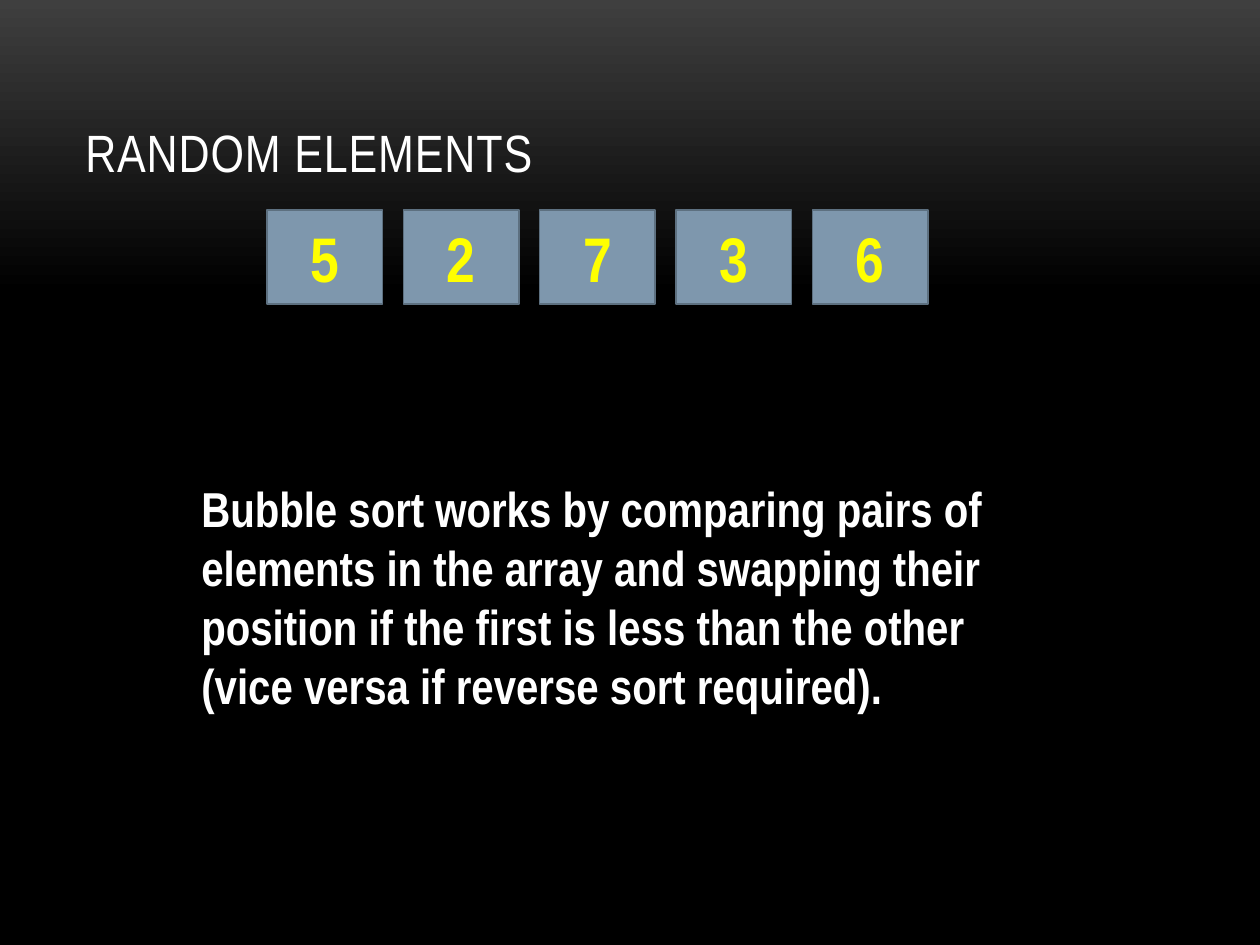
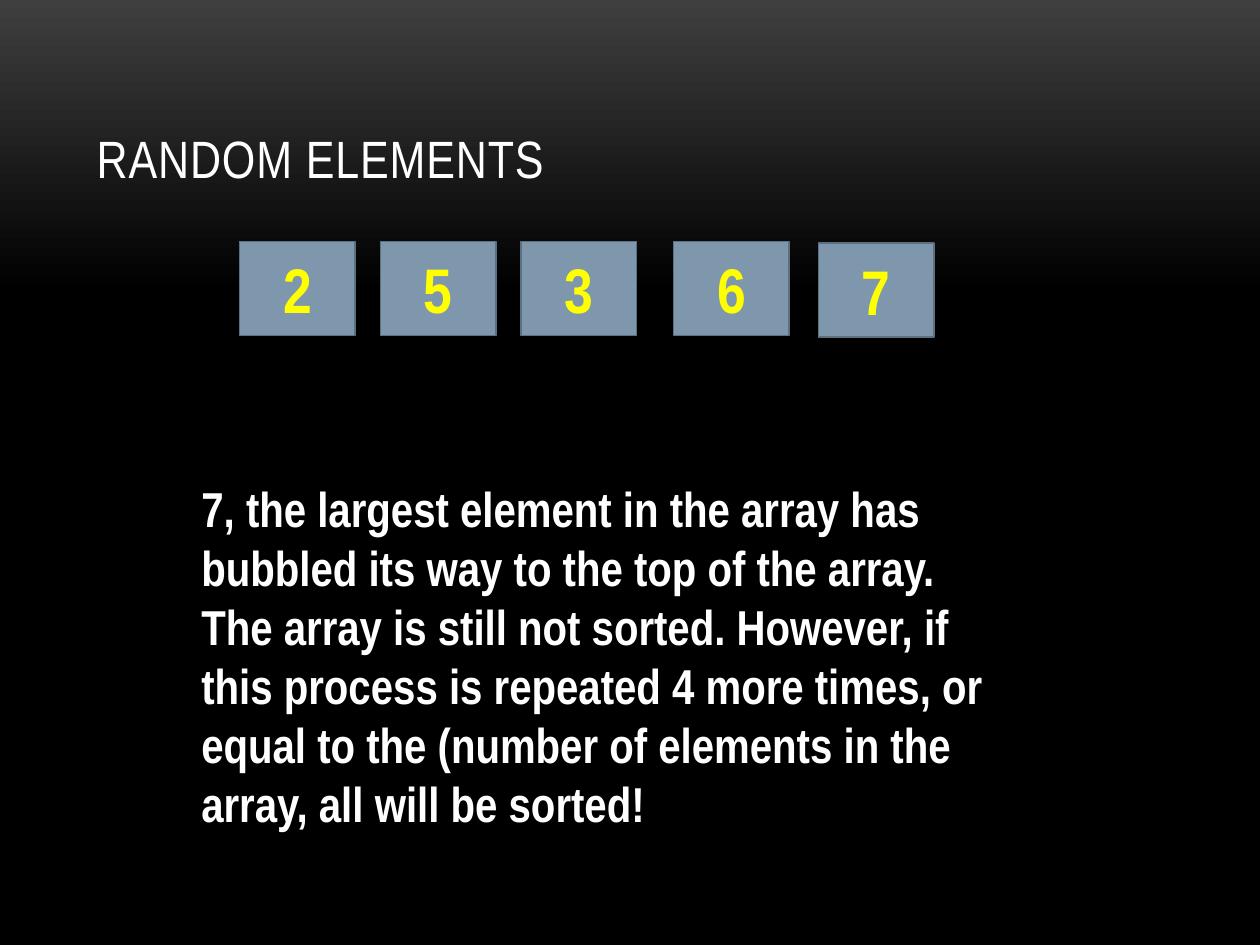
"""Build two slides that show an array before and after one bubble sort pass."""
from copy import deepcopy

from pptx import Presentation
from pptx.dml.color import RGBColor
from pptx.enum.shapes import MSO_SHAPE
from pptx.enum.text import MSO_ANCHOR, MSO_AUTO_SIZE, PP_ALIGN
from pptx.oxml.ns import qn
from pptx.util import Cm, Pt

CHARCOAL = RGBColor(0x3F, 0x3F, 0x3F)
BLACK = RGBColor(0x00, 0x00, 0x00)
WHITE = RGBColor(0xFF, 0xFF, 0xFF)
YELLOW = RGBColor(0xFF, 0xFF, 0x00)
STEEL = RGBColor(0x7E, 0x97, 0xAD)
SLATE = RGBColor(0x5D, 0x70, 0x80)

TITLE_FONT = {"name": "Arial Narrow", "size": Pt(30), "bold": False}
BODY_FONT = {"name": "Arial Narrow", "size": Pt(28), "bold": True}
NUMBER_FONT = {"name": "Arial Narrow", "size": Pt(36), "bold": True}
TITLE_FRAME = {"word_wrap": True, "vertical_anchor": MSO_ANCHOR.BOTTOM}
BODY_FRAME = {"word_wrap": True, "vertical_anchor": MSO_ANCHOR.TOP,
              "auto_size": MSO_AUTO_SIZE.SHAPE_TO_FIT_TEXT}
NUMBER_FRAME = {"word_wrap": True, "vertical_anchor": MSO_ANCHOR.MIDDLE}

SLIDES = [
    {
        "title_at": (1.47, 0.64),
        "body": "Bubble sort works by comparing pairs of elements in the array "
                "and swapping their position if the first is less than the other "
                "(vice versa if reverse sort required).",
        "body_height": 6.25,
        "boxes": [(number, 5.38 + 2.75 * index, 4.23)
                  for index, number in enumerate("52736")],
    },
    {
        "title_at": (1.7, 0.76),
        "body": "7, the largest element in the array has bubbled its way to the "
                "top of the array. The array is still not sorted. However, if "
                "this process is repeated 4 more times, or equal to the (number "
                "of elements in the array, all will be sorted!",
        "body_height": 7.44,
        "boxes": [("2", 4.83, 4.87), ("5", 7.67, 4.87), ("3", 10.5, 4.87),
                  ("6", 13.58, 4.87), ("7", 16.5, 4.9)],
    },
]


def write_text(shape, text, frame_format, font_format, color):
    frame = shape.text_frame
    for name, value in frame_format.items():
        setattr(frame, name, value)
    paragraph = frame.paragraphs[0]
    run = paragraph.add_run()
    run.text = text
    for name, value in font_format.items():
        setattr(run.font, name, value)
    run.font.color.rgb = color
    return paragraph


presentation = Presentation()
presentation.slide_width = Cm(25.4)
presentation.slide_height = Cm(19.05)

for content in SLIDES:
    slide = presentation.slides.add_slide(presentation.slide_layouts[6])

    background = slide.background.fill
    background.gradient()
    background.gradient_angle = 270
    for stop, color, position in zip(background.gradient_stops, (CHARCOAL, BLACK), (0, 0.31)):
        stop.color.rgb = color
        stop.position = position
    stop_list = next(slide.element.iter(qn("a:gsLst")))
    last_stop = deepcopy(stop_list[-1])
    last_stop.set("pos", "100000")
    stop_list.append(last_stop)

    left, top = content["title_at"]
    title = slide.shapes.add_textbox(Cm(left), Cm(top), Cm(22.02), Cm(3.18))
    write_text(title, "RANDOM ELEMENTS", TITLE_FRAME, TITLE_FONT, WHITE)
    next(title.element.iter(qn("a:rPr"))).set("spc", "50")

    body = slide.shapes.add_textbox(Cm(3.81), Cm(9.53), Cm(16.3), Cm(content["body_height"]))
    write_text(body, content["body"], BODY_FRAME, BODY_FONT, WHITE)

    for number, left, top in content["boxes"]:
        box = slide.shapes.add_shape(MSO_SHAPE.RECTANGLE, Cm(left), Cm(top), Cm(2.33), Cm(1.9))
        box.shadow.inherit = False
        box.fill.solid()
        box.fill.fore_color.rgb = STEEL
        box.line.color.rgb = SLATE
        box.line.width = Pt(0.85)
        paragraph = write_text(box, number, NUMBER_FRAME, NUMBER_FONT, YELLOW)
        paragraph.alignment = PP_ALIGN.CENTER

presentation.save("out.pptx")
